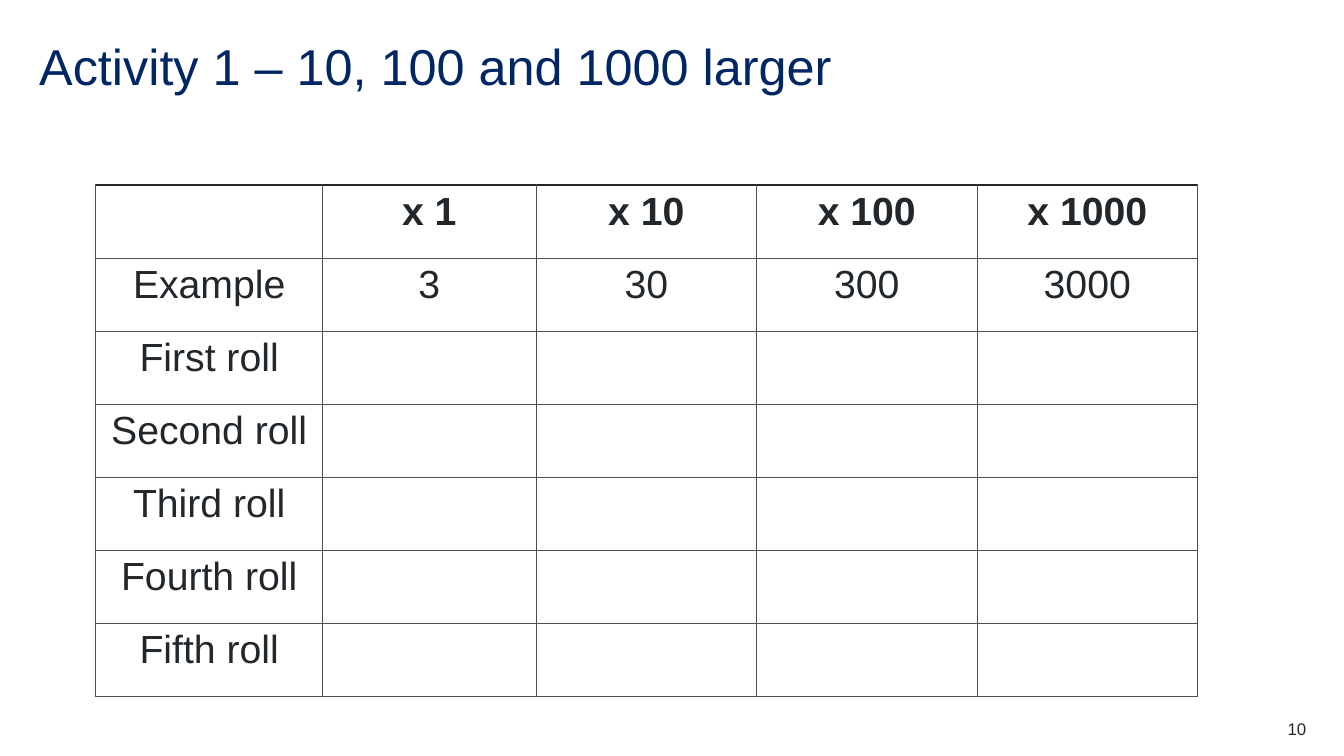
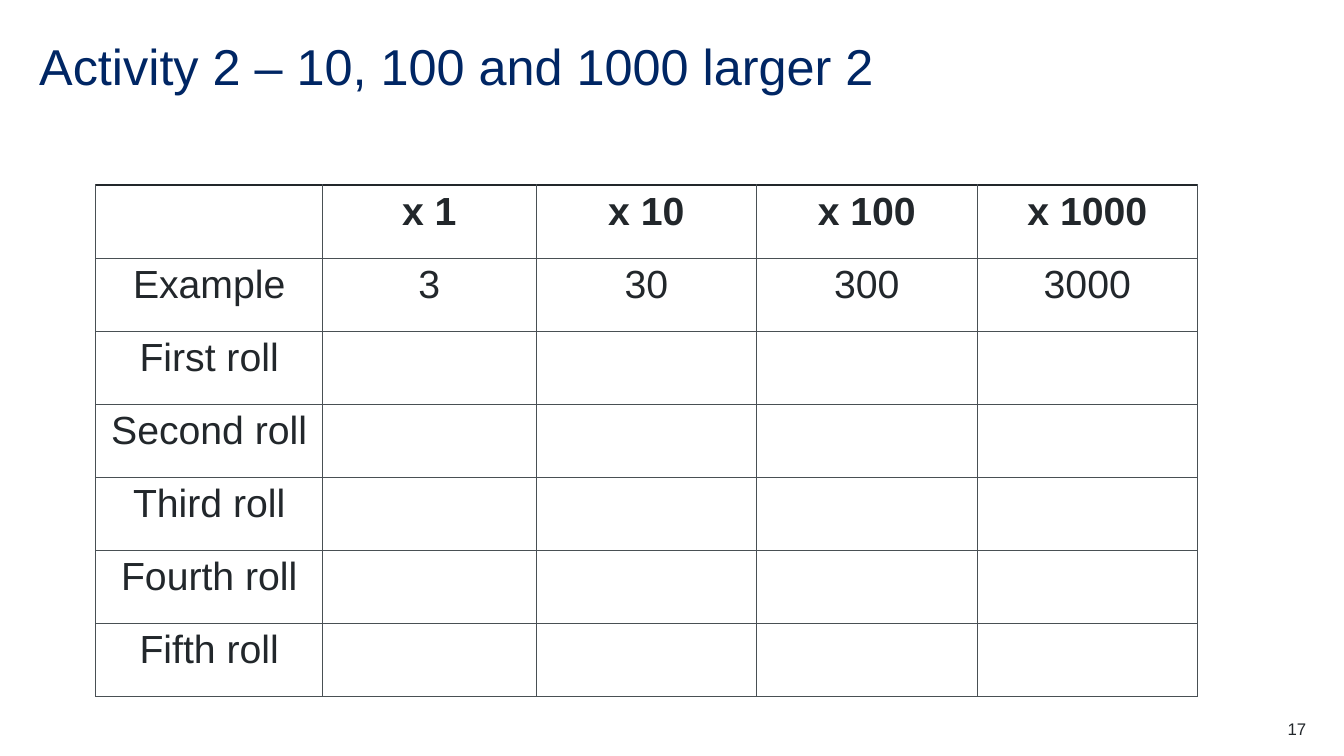
from lxml.etree import SubElement
from pptx import Presentation
from pptx.dml.color import RGBColor
from pptx.enum.text import MSO_ANCHOR, PP_ALIGN
from pptx.oxml.ns import qn
from pptx.util import Pt

NAVY = RGBColor(0x00, 0x26, 0x64)
INK = RGBColor(0x22, 0x27, 0x2B)
GREY = RGBColor(0x49, 0x50, 0x54)
WHITE = RGBColor(0xFF, 0xFF, 0xFF)

# Boxes are left, top, width, height in points
TITLE_BOX = (28, 28, 904, 43.2)
TABLE_BOX = (68.4, 80, 787, 417.6)
NUMBER_BOX = (876, 513.4, 57, 14.4)

TITLE_STYLE = {"size": Pt(36), "color": NAVY}
NUMBER_STYLE = {"size": Pt(12), "color": INK}
HEADER_STYLE = {"size": Pt(28), "color": INK, "bold": True}
BODY_STYLE = {**HEADER_STYLE, "bold": False}

COLUMN_WIDTHS = (162, 152.5, 157.5, 157.5, 157.5)
ROWS = [
    [],  # unruled row above the header
    ["", "x 1", "x 10", "x 100", "x 1000"],
    ["Example", "3", "30", "300", "3000"],
    *([f"{nth} roll"] for nth in ("First", "Second", "Third", "Fourth", "Fifth")),
]
HEADER_ROW = 1

HAIRLINE = (GREY, 0.5)
HEADER_LINE = (INK, 1)
SLIDES = [
    ("Activity 1 – 10, 100 and 1000 larger", "10"),
    ("Activity 2 – 10, 100 and 1000 larger 2", "17"),
]


def write(p, text, style, align):
    p.alignment = align
    r = p.add_run()
    r.text = text
    r.font.name = "Arial"
    for key, value in style.items():
        if key == "color":
            r.font.color.rgb = value
        else:
            setattr(r.font, key, value)


def add_text(s, box, text, style, align=PP_ALIGN.LEFT, spacing=1.0):
    tf = s.shapes.add_textbox(*map(Pt, box)).text_frame
    tf.word_wrap = True
    tf.vertical_anchor = MSO_ANCHOR.MIDDLE
    for side in ("left", "right", "top", "bottom"):
        setattr(tf, f"margin_{side}", 0)
    p = tf.paragraphs[0]
    p.line_spacing = spacing
    write(p, text, style, align)


def set_borders(cell, **borders):
    """Rule the sides L, R, T and B with (colour, width), or None for no line."""
    tc_pr = cell._tc.get_or_add_tcPr()
    for side, border in borders.items():
        ln = SubElement(tc_pr, qn(f"a:ln{side}"))
        if border is None:
            SubElement(ln, qn("a:noFill"))
            continue
        color, width = border
        ln.set("w", str(Pt(width)))
        SubElement(SubElement(ln, qn("a:solidFill")), qn("a:srgbClr"), val=str(color))


def row_borders(row):
    if row < HEADER_ROW:
        return {"L": None, "R": None, "T": None, "B": HEADER_LINE}
    top = HEADER_LINE if row == HEADER_ROW else HAIRLINE
    return {"L": HAIRLINE, "R": HAIRLINE, "T": top, "B": HAIRLINE}


def add_roll_table(s, box):
    frame = s.shapes.add_table(len(ROWS), len(COLUMN_WIDTHS), *map(Pt, box))
    table = frame.table
    table.first_row = table.horz_banding = False
    for column, width in zip(table.columns, COLUMN_WIDTHS):
        column.width = Pt(box[2] * width / sum(COLUMN_WIDTHS))
    for i, (row, texts) in enumerate(zip(table.rows, ROWS)):
        row.height = Pt(box[3] / len(ROWS))
        style = HEADER_STYLE if i == HEADER_ROW else BODY_STYLE
        for cell in row.cells:
            set_borders(cell, **row_borders(i))
            cell.fill.solid()
            cell.fill.fore_color.rgb = WHITE
        for cell, text in zip(row.cells, texts):
            if text:
                write(cell.text_frame.paragraphs[0], text, style, PP_ALIGN.CENTER)


def add_activity_slide(prs, title, number):
    s = prs.slides.add_slide(prs.slide_layouts[6])
    add_text(s, TITLE_BOX, title, TITLE_STYLE, spacing=0.9)
    add_roll_table(s, TABLE_BOX)
    add_text(s, NUMBER_BOX, number, NUMBER_STYLE, PP_ALIGN.RIGHT)


def main():
    prs = Presentation()
    prs.slide_width, prs.slide_height = Pt(960), Pt(540)
    for title, number in SLIDES:
        add_activity_slide(prs, title, number)
    prs.save("out.pptx")


if __name__ == "__main__":
    main()
